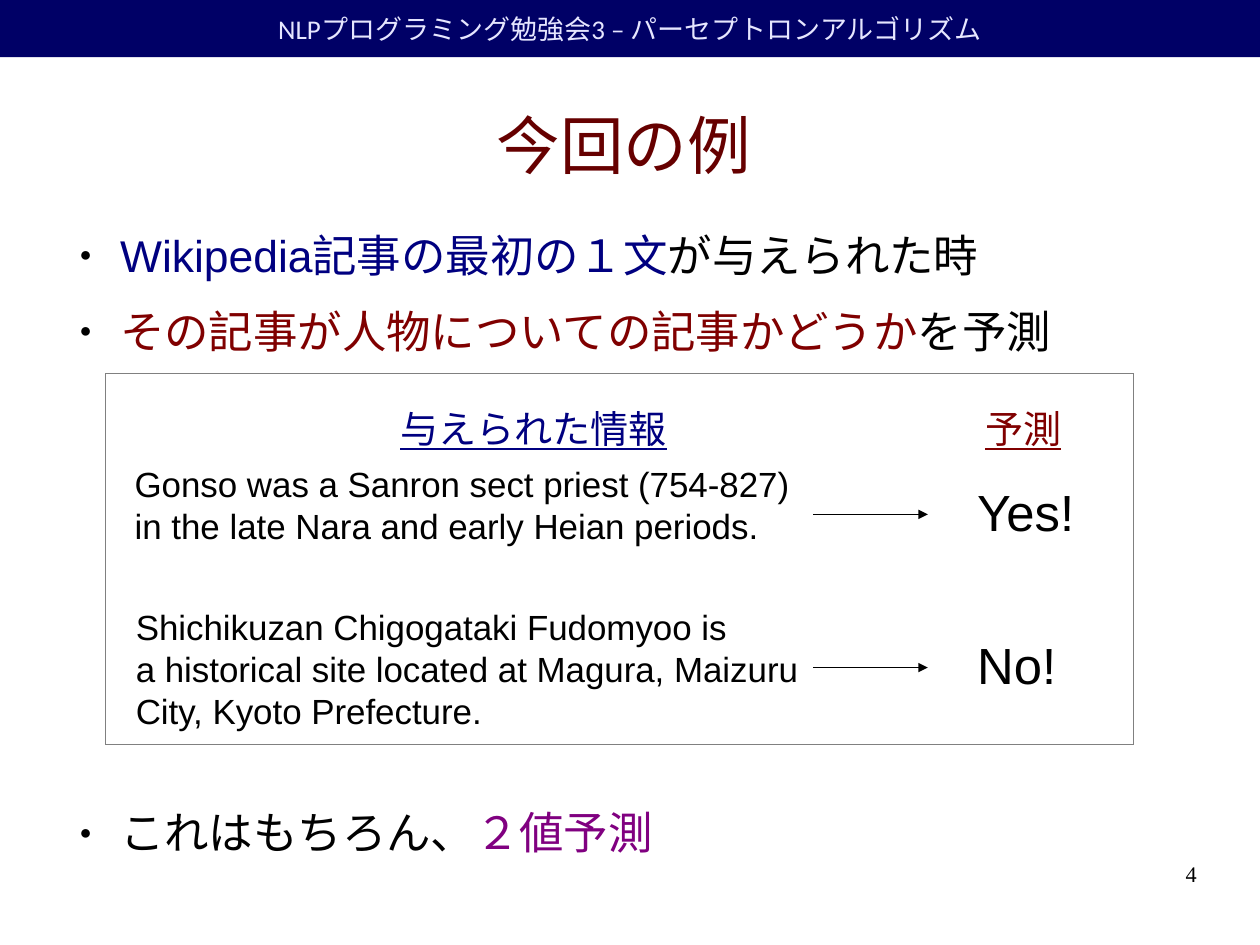
from pptx import Presentation
from pptx.dml.color import RGBColor
from pptx.enum import shapes, text
from pptx.oxml import parse_xml
from pptx.oxml.ns import nsdecls, qn
from pptx.util import Pt

BLACK, NAVY, MAROON, PURPLE = "000000", "000080", "800000", "800080"


def color(value):
    return RGBColor.from_string(value)


def write(box, lines, size, font="Arial", inset=(7.2, 3.6), wrap=False,
          align=text.PP_ALIGN.LEFT, anchor=text.MSO_ANCHOR.TOP):
    """Fill a shape with lines, each a list of (wording, colour) runs."""
    frame = box.text_frame
    frame.auto_size = text.MSO_AUTO_SIZE.NONE
    frame.word_wrap = wrap
    frame.vertical_anchor = anchor
    frame.margin_left = frame.margin_right = Pt(inset[0])
    frame.margin_top = frame.margin_bottom = Pt(inset[1])
    for i, runs in enumerate(lines):
        para = frame.add_paragraph() if i else frame.paragraphs[0]
        para.alignment = align
        for wording, hue in runs:
            span = para.add_run()
            span.text = wording
            span.font.size = Pt(size)
            span.font.name = font
            span.font.color.rgb = color(hue)
    return frame


deck = Presentation()
deck.slide_width, deck.slide_height = Pt(793.75), Pt(595.25)
page = deck.slides.add_slide(deck.slide_layouts[5])
items = page.shapes

# Header band
band = items.add_shape(shapes.MSO_SHAPE.RECTANGLE, 0, 0, deck.slide_width, Pt(36))
band.shadow.inherit = False
band.fill.solid()
band.fill.fore_color.rgb = color("000066")
band.line.fill.background()
write(band, [[("NLPプログラミング勉強会3 – パーセプトロンアルゴリズム", "E6E6FF")]], 17,
      font="Calibri", align=text.PP_ALIGN.CENTER, anchor=text.MSO_ANCHOR.MIDDLE)

# Title
title = items.title
title.left, title.top, title.width, title.height = Pt(36), Pt(45), Pt(714), Pt(91.5)
write(title, [[("今回の例", "660000")]], 40, inset=(0, 0), wrap=True,
      align=text.PP_ALIGN.CENTER, anchor=text.MSO_ANCHOR.MIDDLE)

# Bullets, with room for the example panel before the last one
body = items.add_textbox(Pt(41.75), Pt(143.75), Pt(714), Pt(410))
bullets = write(body, [
    [("Wikipedia記事の最初の１文", NAVY), ("が与えられた時", BLACK)],
    [("その記事が人物についての記事かどうか", MAROON), ("を予測", BLACK)],
    [("これはもちろん、", BLACK), ("２値予測", PURPLE)],
], 28, inset=(0, 0), wrap=True)
for para in bullets.paragraphs:
    para.space_after = Pt(14.2)
    props = para._p.get_or_add_pPr()
    props.set("marL", str(Pt(34)))
    props.set("indent", str(-Pt(25.5)))
    for element in (f'<a:buClr {nsdecls("a")}><a:srgbClr val="{BLACK}"/></a:buClr>',
                    f'<a:buSzPct {nsdecls("a")} val="45000"/>',
                    f'<a:buFont {nsdecls("a")} typeface="Arial"/>',
                    f'<a:buChar {nsdecls("a")} char="●"/>'):
        props.append(parse_xml(element))
bullets.paragraphs[-1].space_before = Pt(268)

# Example panel
panel = items.add_shape(shapes.MSO_SHAPE.RECTANGLE, Pt(66.25), Pt(235), Pt(648), Pt(234))
panel.shadow.inherit = False
panel.fill.background()
panel.line.color.rgb = color("808080")
panel.line._get_or_add_ln().set("w", "0")

for heading, hue, left, width in (("与えられた情報", NAVY, 245, 182),
                                  ("予測", MAROON, 613.5, 62)):
    box = items.add_textbox(Pt(left), Pt(251.5), Pt(width), Pt(35))
    frame = write(box, [[(heading, hue)]], 24)
    frame.paragraphs[0].runs[0].font.underline = True

examples = (
    (77.75, 287.75, 324, "Yes!", ("Gonso was a Sanron sect priest (754-827)",
                                  "in the late Nara and early Heian periods.")),
    (78.5, 377.75, 420.5, "No!", ("Shichikuzan Chigogataki Fudomyoo is",
                                  "a historical site located at Magura, Maizuru",
                                  "City, Kyoto Prefecture.")),
)
for left, top, middle, answer, sentence in examples:
    box = items.add_textbox(Pt(left), Pt(top), Pt(432), Pt(4 + 26 * len(sentence)))
    write(box, [[(line, BLACK)] for line in sentence], 22)

    arrow = items.add_connector(shapes.MSO_CONNECTOR.STRAIGHT,
                                Pt(512.5), Pt(middle), Pt(584.5), Pt(middle))
    arrow.line.color.rgb = color(BLACK)
    outline = arrow.line._get_or_add_ln()
    outline.set("w", "0")
    outline.append(parse_xml(f'<a:tailEnd {nsdecls("a")} type="triangle"/>'))
    arrow._element.find(qn("p:spPr")).append(
        parse_xml(f'<a:effectLst {nsdecls("a")}/>'))

    box = items.add_textbox(Pt(608.5), Pt(middle - 25), Pt(76), Pt(43))
    write(box, [[(answer, BLACK)]], 32)

number = items.add_textbox(Pt(569), Pt(542), Pt(185), Pt(41))
write(number, [[("4", BLACK)]], 14, font="Times New Roman", inset=(0, 0),
      wrap=True, align=text.PP_ALIGN.RIGHT)

deck.save("out.pptx")
